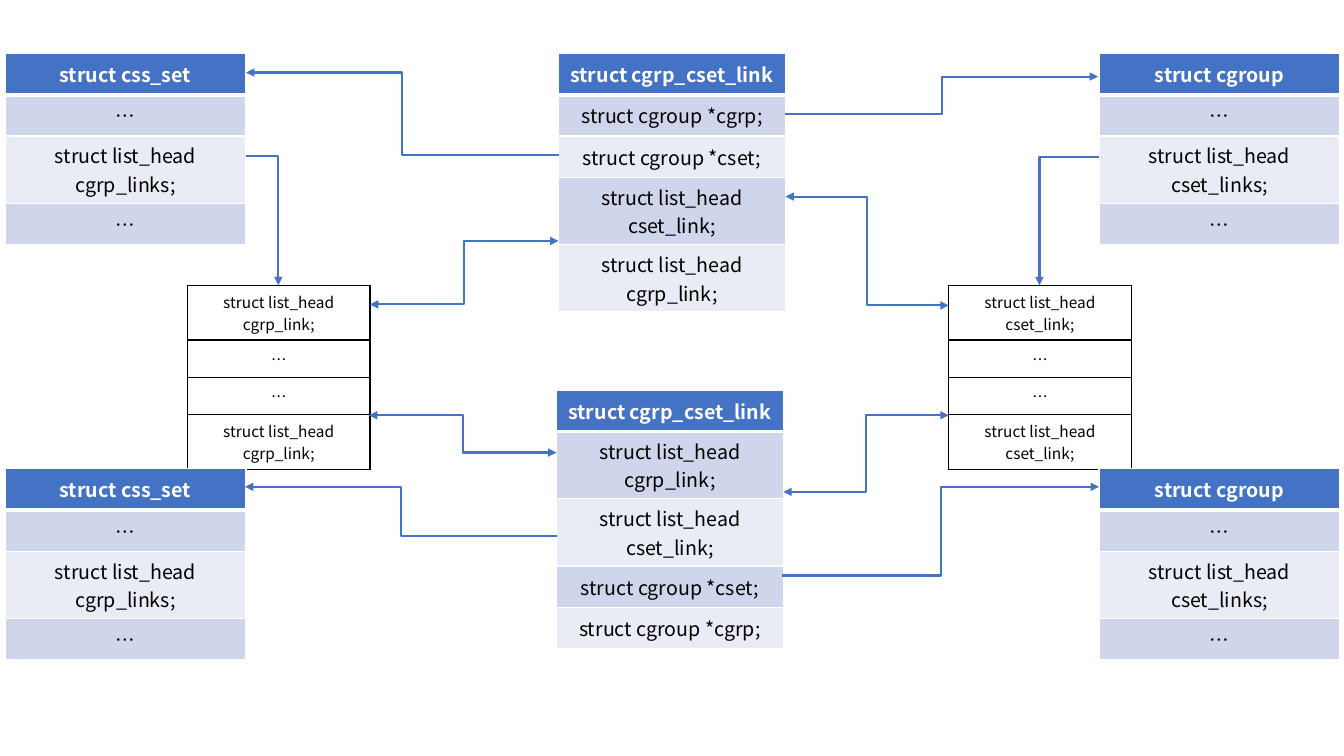
from lxml import etree
from pptx import Presentation
from pptx import util as u
from pptx.dml.color import RGBColor
from pptx.enum import shapes, text
from pptx.oxml.ns import qn

PX = 9144  # EMU per px, 100 px to the inch
FONT = "Noto Sans CJK SC"
COLORS = {"blue": "4472C4", "band": "CFD5EA", "pale": "E9EBF5",
          "white": "FFFFFF", "black": "000000"}

CSS_SET = ["struct css_set", "…", "struct list_head cgrp_links;", "…"]
CGROUP = ["struct cgroup", "…", "struct list_head cset_links;", "…"]
CGRP_LIST = ["struct list_head cgrp_link;", "…", "…", "struct list_head cgrp_link;"]
CSET_LIST = ["struct list_head cset_link;", "…", "…", "struct list_head cset_link;"]
LINK_TOP = ["struct cgrp_cset_link", "struct cgroup *cgrp;", "struct cgroup *cset;",
            "struct list_head cset_link;", "struct list_head cgrp_link;"]
LINK_BOTTOM = ["struct cgrp_cset_link", "struct list_head cgrp_link;",
               "struct list_head cset_link;", "struct cgroup *cset;",
               "struct cgroup *cgrp;"]

KINDS = {
    "struct": {"row": 41, "size": 14, "header": True, "border": "white"},
    "list": {"row": 37, "size": 11, "header": False, "border": "black"},
}

# kind, left, top, width, rows
TABLES = [
    ("struct", 5, 53, 239, CSS_SET),
    ("list", 186, 283, 181, CGRP_LIST),
    ("struct", 554, 53, 225, LINK_TOP),
    ("struct", 1090, 53, 239, CGROUP),
    ("list", 941, 283, 181, CSET_LIST),
    ("struct", 552, 387, 225, LINK_BOTTOM),
    ("struct", 5, 465, 239, CSS_SET),
    ("struct", 1090, 465, 239, CGROUP),
]

# start, end, preset, arrowheads
ONE, BOTH = ("tailEnd",), ("headEnd", "tailEnd")
CORNER, STEP = "bentConnector2", "bentConnector3"
LINKS = [
    ((244, 155), (276, 283), CORNER, ONE),
    ((1090, 156), (1031, 283), CORNER, ONE),
    ((779, 195), (941, 303), STEP, BOTH),
    ((554, 239), (367, 302), STEP, BOTH),
    ((552, 449), (366, 412), STEP, BOTH),
    ((941, 412), (777, 488), STEP, BOTH),
    ((554, 154), (244, 72), STEP, ONE),
    ((779, 113), (1089, 76), STEP, ONE),
    ((552, 532), (243, 483), STEP, ONE),
    ((776, 571), (1090, 483), STEP, ONE),
]


def rgb(name):
    return RGBColor.from_string(COLORS[name])


def add_borders(cell, color, widths):
    tcPr = cell._tc.get_or_add_tcPr()
    for side, width in zip("LRTB", widths):
        ln = etree.SubElement(tcPr, qn(f"a:ln{side}"), w=str(u.Pt(width)))
        fill = etree.SubElement(ln, qn("a:solidFill"))
        etree.SubElement(fill, qn("a:srgbClr"), val=COLORS[color])


def write_cell(cell, words, size, color, bold):
    cell.vertical_anchor = text.MSO_ANCHOR.MIDDLE
    p = cell.text_frame.paragraphs[0]
    p.alignment = text.PP_ALIGN.CENTER
    r = p.add_run()
    r.text = words
    for key, value in {"size": u.Pt(size), "bold": bold, "name": FONT}.items():
        setattr(r.font, key, value)
    r.font.color.rgb = rgb(color)
    etree.SubElement(r._r.get_or_add_rPr(), qn("a:ea"), typeface=FONT)


def add_struct_table(slide, kind, left, top, width, rows):
    k = KINDS[kind]
    box = (left, top, width, k["row"] * len(rows))
    table = slide.shapes.add_table(len(rows), 1, *(v * PX for v in box)).table
    table.first_row = k["header"]
    table.horz_banding = k["header"]
    for i, words in enumerate(rows):
        table.rows[i].height = k["row"] * PX
        cell = table.cell(i, 0)
        is_header = k["header"] and i == 0
        above = 3 if k["header"] and i == 1 else 1
        add_borders(cell, k["border"], (1, 1, above, 3 if is_header else 1))
        if k["header"]:
            cell.fill.solid()
            band = "band" if i % 2 else "pale"
            cell.fill.fore_color.rgb = rgb("blue" if is_header else band)
        else:
            cell.fill.background()
        write_cell(cell, words, k["size"], "white" if is_header else "black", is_header)


def add_link(slide, start, end, preset, heads):
    c = slide.shapes.add_connector(shapes.MSO_CONNECTOR.ELBOW,
                                   *(v * PX for v in start + end))
    c.line.color.rgb = rgb("blue")
    c.line.width = u.Pt(1.5)
    spPr = c._element.spPr
    spPr.find(qn("a:prstGeom")).set("prst", preset)
    for head in heads:
        etree.SubElement(spPr.find(qn("a:ln")), qn(f"a:{head}"), type="triangle")
    etree.SubElement(spPr, qn("a:effectLst"))


def main():
    prs = Presentation()
    prs.slide_width, prs.slide_height = 1333 * PX, 750 * PX
    slide = prs.slides.add_slide(prs.slide_layouts[6])
    for table in TABLES:
        add_struct_table(slide, *table)
    for link in LINKS:
        add_link(slide, *link)
    prs.save("out.pptx")


if __name__ == "__main__":
    main()
